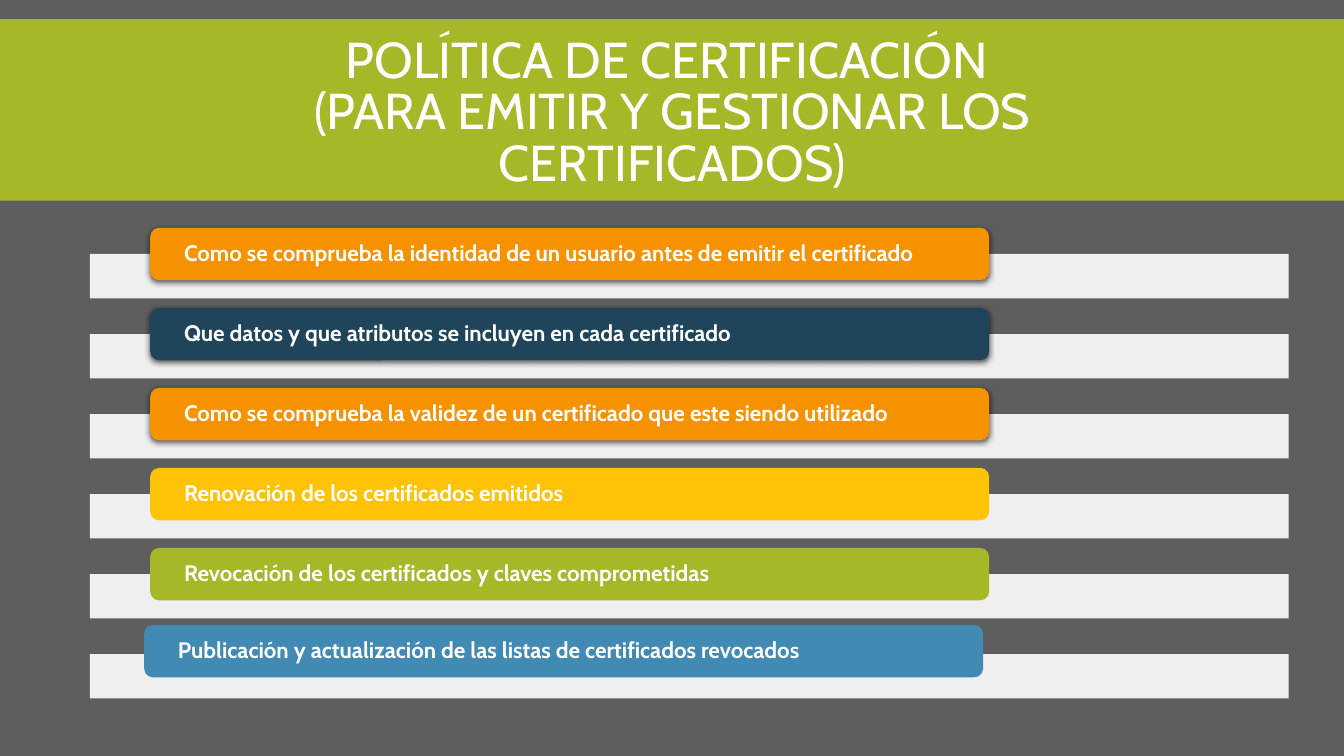
import pptx
import pptx.util
import pptx.dml.color
import pptx.enum.shapes
import pptx.enum.text
import pptx.oxml
import pptx.oxml.ns
from pptx.util import Inches

RGBColor = pptx.dml.color.RGBColor
SHAPE = pptx.enum.shapes.MSO_SHAPE
ALIGN = pptx.enum.text.PP_ALIGN
ANCHOR = pptx.enum.text.MSO_ANCHOR

GRAY = RGBColor(0x5E, 0x5E, 0x5E)
WHITE = RGBColor(0xFF, 0xFF, 0xFF)
GREEN = RGBColor(0xA6, 0xB7, 0x27)
ORANGE = RGBColor(0xF6, 0x92, 0x00)
NAVY = RGBColor(0x20, 0x45, 0x5A)
YELLOW = RGBColor(0xFE, 0xC3, 0x06)
BLUE = RGBColor(0x41, 0x8A, 0xB3)

TITLE = "POLÍTICA DE CERTIFICACIÓN \v(PARA EMITIR Y GESTIONAR LOS CERTIFICADOS)"
# text, colour, shadow, left, rise above the bar
TOPICS = [
    ("Como se comprueba la identidad de un usuario antes de emitir el certificado",
     ORANGE, True, 1.49, 0.26),
    ("Que datos y que atributos se incluyen en cada certificado",
     NAVY, True, 1.49, 0.26),
    ("Como se comprueba la validez de un certificado que este siendo utilizado",
     ORANGE, True, 1.49, 0.26),
    ("Renovación de los certificados emitidos", YELLOW, False, 1.49, 0.26),
    ("Revocación de los certificados y claves comprometidas", GREEN, False, 1.49, 0.26),
    ("Publicación y actualización de las listas de certificados revocados",
     BLUE, False, 1.43, 0.29),
]
BAR_TOP, LAST_BAR_TOP = 2.52, 6.49
PITCH = (LAST_BAR_TOP - BAR_TOP) / (len(TOPICS) - 1)


class PolicySlide:
    font = "Cabin"

    def __init__(self, prs):
        self.s = prs.slides.add_slide(prs.slide_layouts[5])
        fill = self.s.background.fill
        fill.solid()
        fill.fore_color.rgb = GRAY

    def box(self, kind, left, top, width, height, color):
        sp = self.s.shapes.add_shape(
            kind, Inches(left), Inches(top), Inches(width), Inches(height))
        sp.fill.solid()
        sp.fill.fore_color.rgb = color
        sp.line.fill.background()
        sp.shadow.inherit = False
        return sp

    def set_text(self, sp, text, size, align, spacing, bold=False):
        tf = sp.text_frame
        tf.text = text
        tf.word_wrap = True
        tf.auto_size = pptx.enum.text.MSO_AUTO_SIZE.NONE
        tf.vertical_anchor = ANCHOR.MIDDLE
        p = tf.paragraphs[0]
        p.alignment = align
        p.line_spacing = spacing
        p.font.name = self.font
        p.font.size = pptx.util.Pt(size)
        p.font.bold = bold
        p.font.color.rgb = WHITE
        return tf

    def title(self, text):
        band = self.box(SHAPE.RECTANGLE, 0, 0.19, 13.33, 1.8, GREEN)
        sp = self.s.shapes.title
        sp._element.addprevious(band._element)
        sp.left, sp.top = Inches(1.32), Inches(0.31)
        sp.width, sp.height = Inches(10.7), Inches(1.65)
        self.set_text(sp, text, 36, ALIGN.CENTER, 0.85)

    def bar(self, top):
        """Draw the slightly transparent white bar behind a topic."""
        sp = self.box(SHAPE.RECTANGLE, 0.89, top, 11.89, 0.44, WHITE)
        color = sp._element.spPr.find(".//" + pptx.oxml.ns.qn("a:srgbClr"))
        color.append(pptx.oxml.parse_xml(
            f'<a:alpha {pptx.oxml.ns.nsdecls("a")} val="90000"/>'))

    def topic(self, text, color, shadow, left, top):
        sp = self.box(SHAPE.ROUNDED_RECTANGLE, left, top, 8.32, 0.52, color)
        tf = self.set_text(sp, text, 16, ALIGN.LEFT, 0.9, bold=True)
        tf.margin_left = tf.margin_right = Inches(0.31)
        tf.margin_top = tf.margin_bottom = 0
        if shadow:
            self.drop_shadow(sp)

    def drop_shadow(self, sp):
        effects = sp._element.spPr.find(pptx.oxml.ns.qn("a:effectLst"))
        effects.append(pptx.oxml.parse_xml(
            f'<a:outerShdw {pptx.oxml.ns.nsdecls("a")} blurRad="50800" dist="15240" '
            'dir="5400000" algn="tl" rotWithShape="0"><a:srgbClr val="000000">'
            '<a:alpha val="68000"/></a:srgbClr></a:outerShdw>'))


def main():
    prs = pptx.Presentation()
    prs.slide_width, prs.slide_height = Inches(13.33), Inches(7.5)
    slide = PolicySlide(prs)
    slide.title(TITLE)
    for i, (text, color, shadow, left, rise) in enumerate(TOPICS):
        top = BAR_TOP + i * PITCH
        slide.bar(top)
        slide.topic(text, color, shadow, left, top - rise)
    prs.save("out.pptx")


if __name__ == "__main__":
    main()
